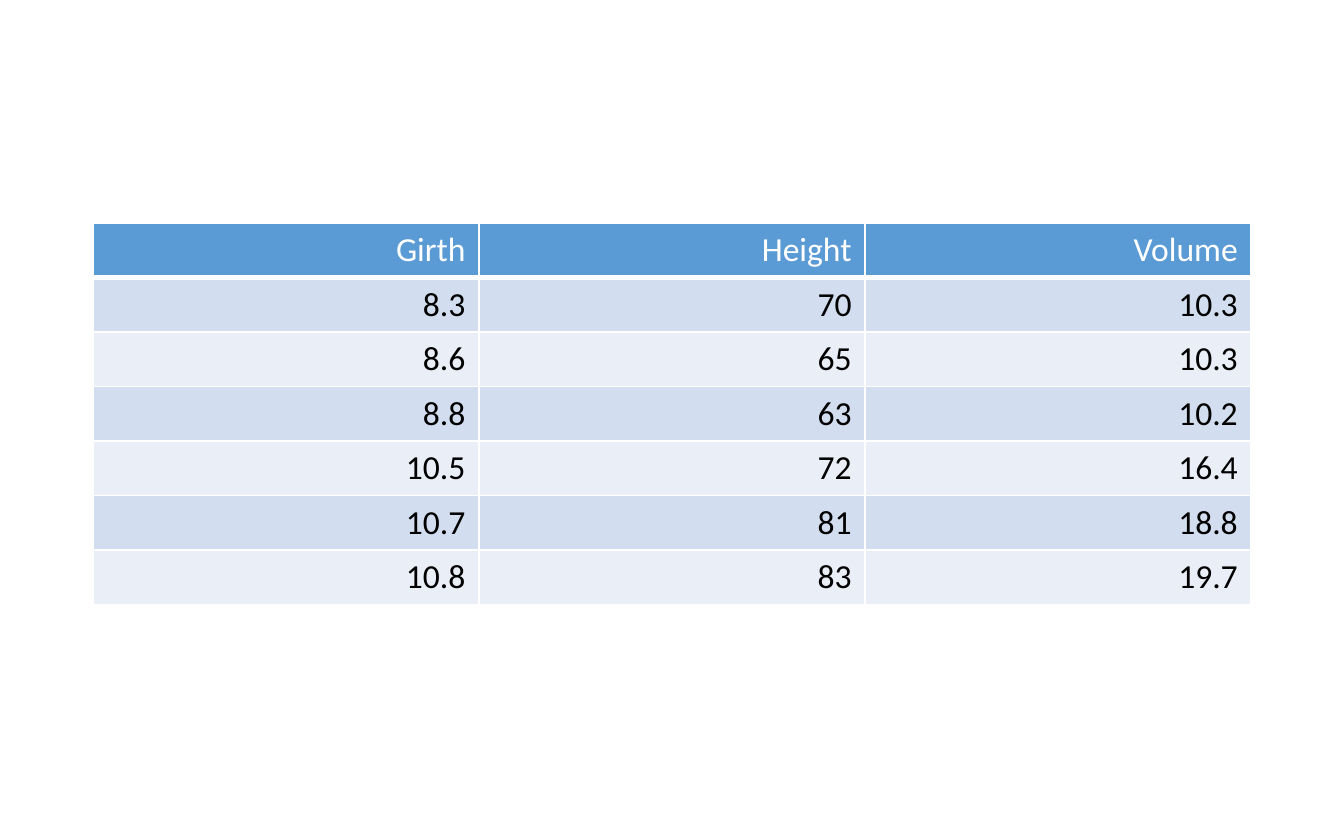
"""Build a slide with a table of tree measurements."""
from lxml.etree import SubElement
from pptx import Presentation
from pptx.dml.color import RGBColor
from pptx.enum.text import PP_ALIGN
from pptx.oxml.ns import qn
from pptx.util import Inches, Pt

HEADERS = ("Girth", "Height", "Volume")
TREES = [
    (8.3, 70, 10.3),
    (8.6, 65, 10.3),
    (8.8, 63, 10.2),
    (10.5, 72, 16.4),
    (10.7, 81, 18.8),
    (10.8, 83, 19.7),
]
HEADER_FILL = "5B9BD5"
BAND_FILLS = ("EAEFF7", "D2DEEF")
WHITE, BLACK = "FFFFFF", "000000"
SLIDE_WIDTH, SLIDE_HEIGHT = 10, 6.25
TABLE_LEFT, TABLE_TOP = 0.69, 1.66
ROW_HEIGHT = 0.4


def color(value):
    return RGBColor.from_string(value)


def set_borders(cell, bottom_width):
    properties = cell._tc.get_or_add_tcPr()
    widths = {"a:lnL": 1, "a:lnR": 1, "a:lnT": 1, "a:lnB": bottom_width}
    for tag, width in widths.items():
        line = SubElement(properties, qn(tag), w=str(Pt(width)))
        fill = SubElement(line, qn("a:solidFill"))
        SubElement(fill, qn("a:srgbClr"), val=WHITE)


def fill_cell(cell, value, fill, text_color, bottom_width):
    set_borders(cell, bottom_width)
    cell.fill.solid()
    cell.fill.fore_color.rgb = color(fill)
    cell.text = str(value)
    paragraph = cell.text_frame.paragraphs[0]
    paragraph.alignment = PP_ALIGN.RIGHT
    font = paragraph.font
    font.name, font.size, font.bold = "Calibri", Pt(18), False
    font.color.rgb = color(text_color)


presentation = Presentation()
presentation.slide_width = Inches(SLIDE_WIDTH)
presentation.slide_height = Inches(SLIDE_HEIGHT)
slide = presentation.slides.add_slide(presentation.slide_layouts[6])

rows = [HEADERS, *TREES]
table = slide.shapes.add_table(
    len(rows), len(HEADERS), Inches(TABLE_LEFT), Inches(TABLE_TOP),
    Inches(SLIDE_WIDTH - 2 * TABLE_LEFT), Inches(ROW_HEIGHT * len(rows)),
).table
for row_index, row in enumerate(rows):
    if row_index == 0:
        look = (HEADER_FILL, WHITE, 3)
    else:
        look = (BAND_FILLS[row_index % 2], BLACK, 1)
    for column_index, value in enumerate(row):
        fill_cell(table.cell(row_index, column_index), value, *look)

presentation.save("out.pptx")
